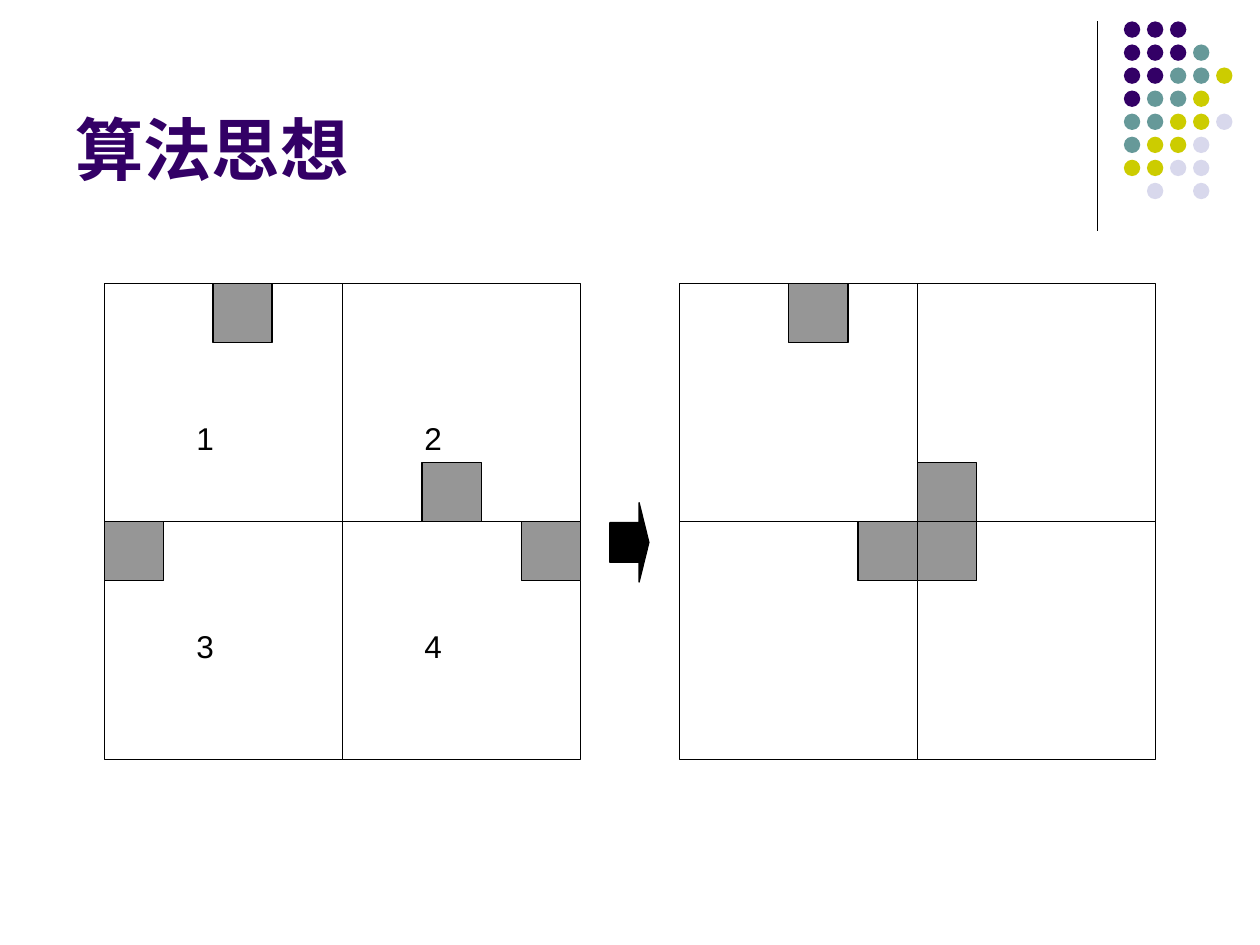
from lxml import etree
from pptx import Presentation
from pptx.dml.color import RGBColor
from pptx.enum.shapes import MSO_CONNECTOR, MSO_SHAPE
from pptx.enum.text import MSO_ANCHOR
from pptx.oxml.ns import qn
from pptx.util import Inches, Pt

RECTANGLE = MSO_SHAPE.RECTANGLE
OVAL = MSO_SHAPE.OVAL
RIGHT_ARROW = MSO_SHAPE.RIGHT_ARROW
STRAIGHT = MSO_CONNECTOR.STRAIGHT
TOP, BOTTOM = MSO_ANCHOR.TOP, MSO_ANCHOR.BOTTOM

FONT = "Arial"
BLACK, WHITE, GRAY, PURPLE = "000000", "FFFFFF", "969696", "330066"
DOT_COLORS = {"P": PURPLE, "T": "669999", "Y": "CCCC00", "L": "D8D8EC"}
DOT_ROWS = ["PPP", "PPPT", "PPTTY", "PTTY", "TTYYL", "TYYL", "YYLL", " L L"]
DOT_LEFT, DOT_TOP, DOT_PITCH, DOT_SIZE = 8.92, 0.17, 0.183, 0.13

BOARD_TOP, QUADRANT, CELL = 2.25, 1.89, 0.47
LEFT_BOARD, RIGHT_BOARD = 0.83, 5.39
MIDDLE = BOARD_TOP + QUADRANT


def color(hex_string):
    """Turn a hex string into a colour."""
    return RGBColor.from_string(hex_string)


def add_figure(page, kind, left, top, width, height, fill, line=None):
    """Add a filled preset shape, outlined when a line colour is given."""
    figure = page.shapes.add_shape(
        kind, Inches(left), Inches(top), Inches(width), Inches(height))
    figure.shadow.inherit = False
    figure.fill.solid()
    figure.fill.fore_color.rgb = color(fill)
    if line:
        figure.line.color.rgb = color(line)
        figure.line.width = Pt(0.75)
    else:
        figure.line.fill.background()
    return figure


def add_square(page, left, top, size, fill):
    """Add a black-edged square."""
    add_figure(page, RECTANGLE, left, top, size, size, fill, BLACK)


def add_text(page, text, left, top, width, height, size, ink, bold=False, anchor=TOP):
    """Add a one-paragraph text box."""
    box = page.shapes.add_textbox(
        Inches(left), Inches(top), Inches(width), Inches(height))
    frame = box.text_frame
    frame.word_wrap = True
    frame.vertical_anchor = anchor
    para = frame.paragraphs[0]
    para.text = text
    para.font.name = FONT
    para.font.size = Pt(size)
    para.font.bold = bold
    para.font.color.rgb = color(ink)


def add_line(page, x1, y1, x2, y2):
    """Add a thin black line without a shadow."""
    line = page.shapes.add_connector(
        STRAIGHT, Inches(x1), Inches(y1), Inches(x2), Inches(y2))
    line.line.color.rgb = color(BLACK)
    line.line.width = Pt(0.75)
    etree.SubElement(line._element.spPr, qn("a:effectLst"))


def add_dots(page):
    """Add the grid of coloured dots in the corner."""
    for row, letters in enumerate(DOT_ROWS):
        for column, letter in enumerate(letters):
            if letter in DOT_COLORS:
                add_figure(page, OVAL, DOT_LEFT + column * DOT_PITCH,
                           DOT_TOP + row * DOT_PITCH, DOT_SIZE, DOT_SIZE,
                           DOT_COLORS[letter])


def add_board(page, left, covered_cells, labels=""):
    """Add a board of four quadrants with covered cells and quadrant labels."""
    for index in range(4):
        row, column = divmod(index, 2)
        add_square(page, left + column * QUADRANT, BOARD_TOP + row * QUADRANT,
                   QUADRANT, WHITE)
    for cell_left, cell_top in covered_cells:
        add_square(page, cell_left, cell_top, CELL, GRAY)
    for index, label in enumerate(labels):
        row, column = divmod(index, 2)
        add_text(page, label, left + 0.63 + column * 1.81,
                 BOARD_TOP + 1.03 + row * 1.65, 0.55, 0.4, 18, BLACK)


def main():
    """Build the slide and save it."""
    deck = Presentation()
    deck.slide_width, deck.slide_height = Inches(10), Inches(7.5)
    page = deck.slides.add_slide(deck.slide_layouts[6])

    add_line(page, 8.71, 0.17, 8.71, 1.83)
    add_dots(page)
    add_text(page, "算法思想", 0.5, 0.13, 8.25, 1.42, 39, PURPLE, True, BOTTOM)

    left_cells = [(1.69, BOARD_TOP), (LEFT_BOARD, MIDDLE),
                  (LEFT_BOARD + 2 * QUADRANT - CELL, MIDDLE), (3.35, MIDDLE - CELL)]
    add_board(page, LEFT_BOARD, left_cells, "1234")

    center = RIGHT_BOARD + QUADRANT
    right_cells = [(6.26, BOARD_TOP), (center - CELL, MIDDLE),
                   (center, MIDDLE - CELL), (center, MIDDLE)]
    add_board(page, RIGHT_BOARD, right_cells)

    arrow = add_figure(page, RIGHT_ARROW, 4.84, 3.99, 0.31, 0.63, BLACK, BLACK)
    arrow.adjustments[0], arrow.adjustments[1] = 0.5, 0.25

    deck.save("out.pptx")


if __name__ == "__main__":
    main()
